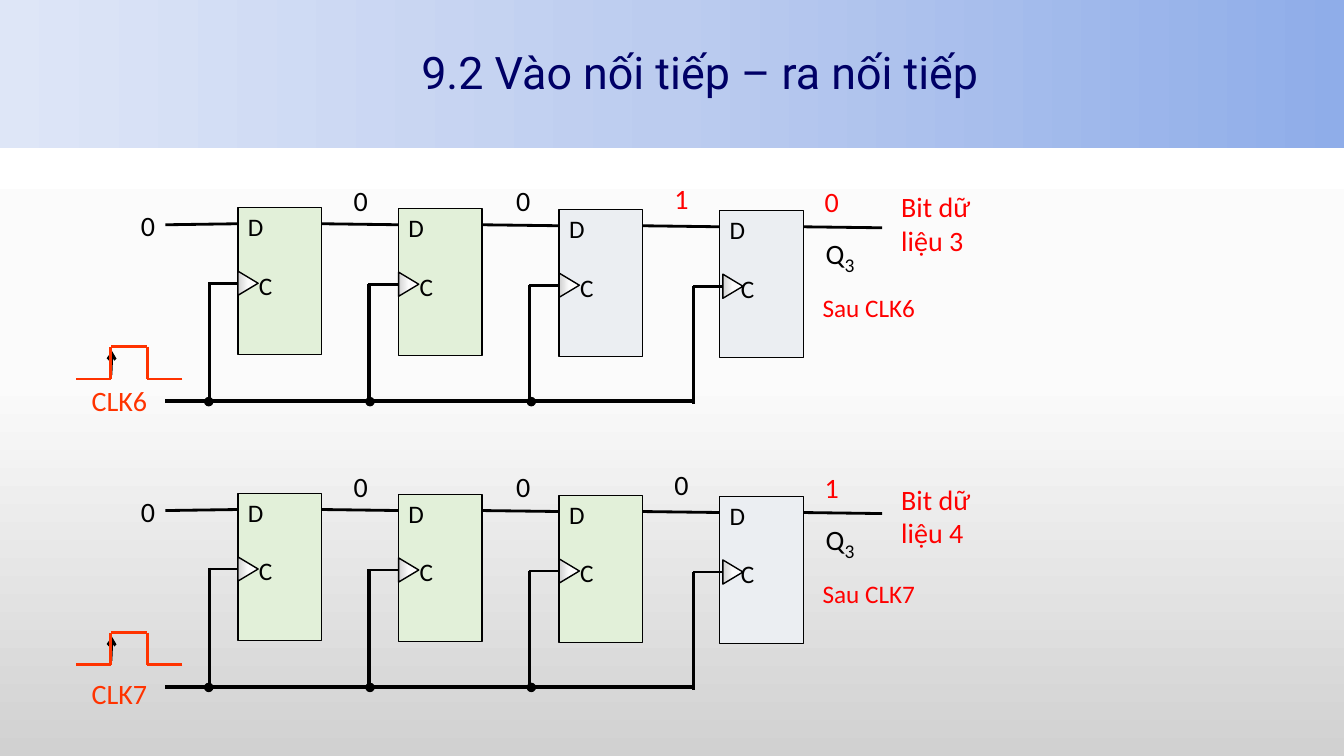
from copy import deepcopy

from pptx import Presentation
from pptx.dml.color import RGBColor
from pptx.enum.shapes import MSO_CONNECTOR as Line, MSO_SHAPE as Shape
from pptx.enum.text import MSO_ANCHOR as Anchor
from pptx.oxml.ns import qn
from pptx.util import Inches, Pt

BLACK, RED, ORANGE, NAVY = "000000", "FF0000", "FF3300", "000066"
GREEN, GREY = "E2F0D9", "EBEEF2"
PAPER = ("FFFFFF", "FBFBFB", "D1D1D1")
HEADER = ("8FADE9", "BCCCEF", "DEE6F7")


def colour(code):
    return RGBColor.from_string(code)


class Sketch:
    """Holds the text style and the current page."""

    def __init__(self, page, font="Calibri", size=20):
        self.page, self.font, self.size = page, font, size

    def gradient(self, fill, codes, angle):
        fill.gradient()
        fill.gradient_angle = angle
        first = fill.gradient_stops[0]._gs
        first.addnext(deepcopy(first))
        for stop, code, position in zip(fill.gradient_stops, codes, (0, 0.5, 1)):
            stop.color.rgb = colour(code)
            stop.position = position

    def style(self, paragraph, code, size=None, font=None):
        for span in paragraph.runs:
            span.font.name = font or self.font
            span.font.size = Pt(size or self.size)
            span.font.color.rgb = colour(code)

    def text(self, left, top, width, height, words, code=BLACK, size=None,
             font=None, wrap=True):
        box = self.page.shapes.add_textbox(
            Inches(left), Inches(top), Inches(width), Inches(height))
        box.text_frame.word_wrap = wrap
        box.text_frame.text = words
        for para in box.text_frame.paragraphs:
            self.style(para, code, size, font)
        return box

    def shape(self, kind, left, top, width, height, fill, outline=True, angle=270):
        item = self.page.shapes.add_shape(
            kind, Inches(left), Inches(top), Inches(width), Inches(height))
        item.shadow.inherit = False
        if isinstance(fill, tuple):
            self.gradient(item.fill, fill, angle)
        else:
            item.fill.solid()
            item.fill.fore_color.rgb = colour(fill)
        if outline:
            item.line.color.rgb = colour(BLACK)
            item.line.width = Pt(1)
        else:
            item.line.fill.background()
        return item

    def line(self, x1, y1, x2, y2, code=BLACK, width=2, arrow=False):
        wire = self.page.shapes.add_connector(
            Line.STRAIGHT, Inches(x1), Inches(y1), Inches(x2), Inches(y2))
        wire.line.color.rgb = colour(code)
        wire.line.width = Pt(width)
        properties = wire._element.spPr
        properties.append(properties.makeelement(qn("a:effectLst"), {}))
        if arrow:
            outline = wire.line._get_or_add_ln()
            outline.append(outline.makeelement(qn("a:tailEnd"), {"type": "arrow"}))

    def flip_flop(self, left, top, fill, notch):
        block = self.shape(Shape.RECTANGLE, left, top, 0.83, 1.46, fill)
        frame = block.text_frame
        frame.vertical_anchor = Anchor.TOP
        frame.margin_top = Inches(0.04)
        frame.text = "D\nC"
        data, clock = frame.paragraphs
        clock.space_before = Pt(20)
        clock._p.get_or_add_pPr().set("marL", str(Inches(0.11)))
        for para in (data, clock):
            para.alignment = 1
            self.style(para, BLACK, 18)
        # Clock input mark and its stub
        mark = self.shape(Shape.ISOSCELES_TRIANGLE, left + notch - 0.02,
                          top + 0.65, 0.24, 0.2, PAPER)
        mark.rotation = 90
        self.line(left + notch, top + 0.75, left + notch - 0.3, top + 0.75)

    def pulse(self, top):
        low, high = top + 0.32, top
        self.line(1.1, low, 0.75, low, ORANGE)
        self.line(1.46, high, 1.1, high, ORANGE)
        self.line(1.46, high, 1.46, low, ORANGE)
        self.line(1.81, low, 1.46, low, ORANGE)
        self.line(1.1, low - 0.04, 1.11, high + 0.04, arrow=True)
        self.line(1.1, high, 1.1, low, ORANGE)

    def register(self, top, clock, bits, fills, data_bit, label_drop):
        # Flip-flops with the data wire leaving each one
        self.line(2.36, top + 0.16, 1.64, top + 0.17)
        for index, fill in enumerate(fills):
            left, y = 2.36 + 1.593 * index, top + 0.01 * index
            self.flip_flop(left, y, fill, notch=0.03 if index == 3 else 0)
            self.line(left + 1.61, y + 0.17, left + 0.83, y + 0.16)
        # Clock bus, its branches and joints
        for index, x in enumerate((2.08, 3.66, 5.25, 6.88)):
            y = top + 0.74 + 0.013 * index
            self.line(x, y, x, y + 1.17, width=2.5)
        self.line(6.89, top + 1.92, 1.64, top + 1.92, width=2.5)
        for index in range(3):
            self.shape(Shape.OVAL, 2.03 + 1.6 * index, top + 1.885, 0.08, 0.08, BLACK)
        # Bit values
        self.text(1.3, top - 0.04, 0.34, 0.44, "0", wrap=False)
        places = ((3.41, 0.29), (5.02, 0.29), (6.59, 0.31), (8.08, 0.28))
        for (left, rise), (bit, code) in zip(places, bits):
            self.text(left, top - rise, 0.64, 0.44, bit, code)
        # Output and clock labels
        output = self.text(8.09, top + 0.18, 0.75, 0.44, "Q")
        para = output.text_frame.paragraphs[0]
        para.add_run().text = "3"
        self.style(para, BLACK)
        para.runs[1].font.size = Pt(24)
        para.runs[1].font._element.set("baseline", "-25000")
        self.text(8.06, top + 0.79, 1.35, 0.4, f"Sau {clock}", RED, 18, wrap=False)
        self.pulse(top + 1.38)
        self.text(0.81, top + 1.7 + label_drop, 0.91, 0.44, clock, ORANGE, wrap=False)
        self.text(8.84, top - 0.23 + label_drop, 0.95, 0.77,
                  f"Bit dữ\nliệu {data_bit}", RED, wrap=False)


def main():
    deck = Presentation()
    deck.slide_width, deck.slide_height = Inches(13.33), Inches(7.5)
    page = deck.slides.add_slide(deck.slide_layouts[6])
    sketch = Sketch(page)

    # Background and title band
    sketch.gradient(page.background.fill, PAPER, 270)
    sketch.shape(Shape.RECTANGLE, 0, 0, 13.33, 1.47, HEADER, outline=False, angle=180)
    title = sketch.text(4.08, 0.02, 8.92, 1.45, "9.2 Vào nối tiếp – ra nối tiếp",
                        NAVY, 32, "Roboto")
    title.text_frame.vertical_anchor = Anchor.MIDDLE
    title.text_frame.paragraphs[0].line_spacing = 0.9

    # Shift register after each clock pulse
    zero = ("0", BLACK)
    sketch.register(2.06, "CLK6", (zero, zero, ("1", RED), ("0", RED)),
                    (GREEN, GREEN, GREY, GREY), 3, 0)
    sketch.register(4.895, "CLK7", (zero, zero, zero, ("1", RED)),
                    (GREEN, GREEN, GREEN, GREY), 4, 0.07)
    deck.save("out.pptx")


if __name__ == "__main__":
    main()
